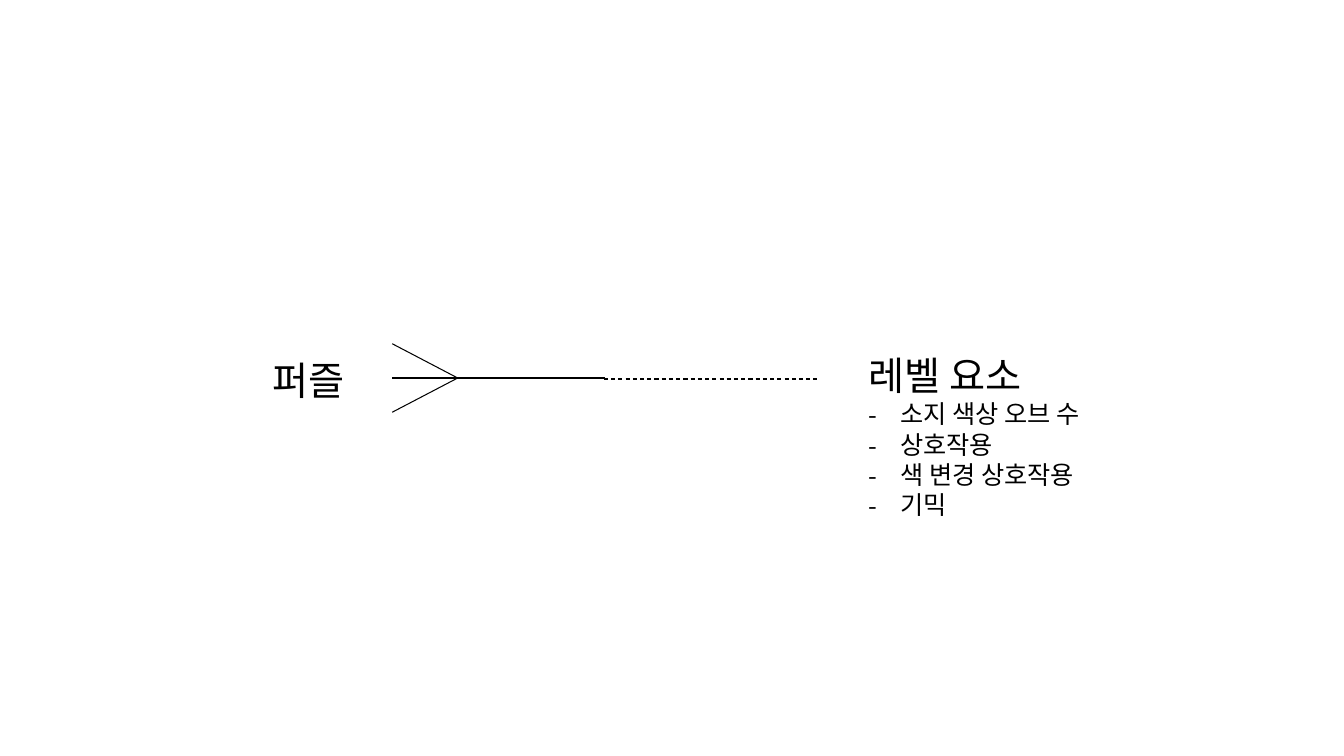
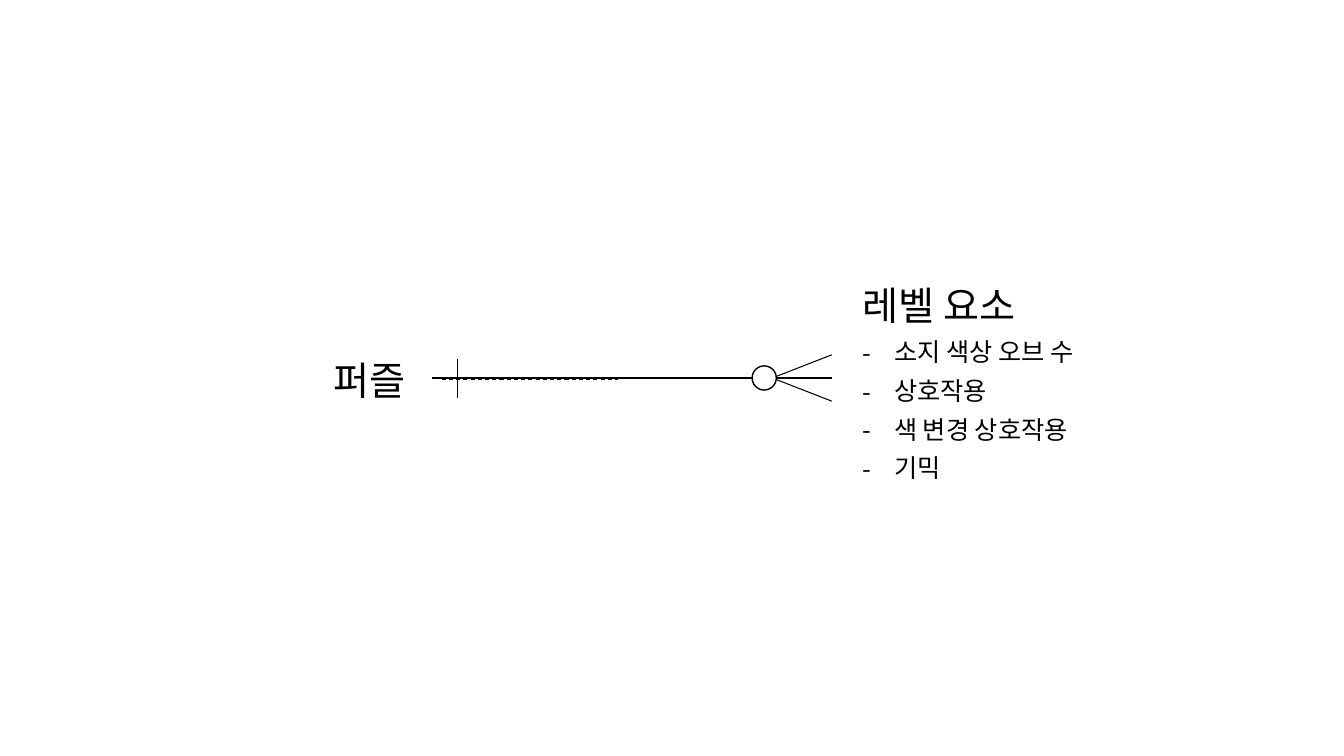
from lxml import etree
from pptx import Presentation
from pptx.dml.color import RGBColor
from pptx.enum.dml import MSO_LINE_DASH_STYLE as Dash
from pptx.enum.shapes import MSO_CONNECTOR as Wire, MSO_SHAPE as Form
from pptx.oxml.ns import qn
from pptx.util import Inches, Pt

BLACK = RGBColor(0, 0, 0)
WHITE = RGBColor(255, 255, 255)
FONT = "Noto Sans CJK KR"
WIDE, HIGH = 13.33, 7.5
MID = HIGH / 2
HEAD, ITEM = 28, 18
LEAD = 1.2
HANG = 0.31
LIFT = 0.03

# Content
LEFT = "퍼즐"
RIGHT = "레벨 요소"
ITEMS = ["소지 색상 오브 수", "상호작용", "색 변경 상호작용", "기믹"]

# Text boxes as (left, top, width, height); lines as (x1, y1, x2, y2, dashed),
# with y counted from the middle of the slide
SLIDES = [
    dict(left=(2.6, 3.46, 1.07, 0.57), right=(8.52, 3.41, 3.64, 1.78), gap=0,
         lines=[(3.89, 0, 6, 0, False),
                (3.89, -0.34, 4.54, 0, False),
                (3.89, 0.34, 4.54, 0, False),
                (5.99, 0.01, 8.1, 0.01, True)],
         rings=[]),
    dict(left=(3.21, 3.46, 1.07, 0.57), right=(8.46, 2.71, 3.64, 2.12), gap=6,
         lines=[(8.25, 0, 4.28, 0, False),
                (8.25, -0.23, 7.66, 0, False),
                (8.25, 0.23, 7.66, 0, False),
                (4.38, 0.01, 6.13, 0.01, True),
                (4.54, -0.19, 4.54, 0.2, False)],
         rings=[(7.58, 0.24)]),
]


def add_text(slide, box, rows, gap=0):
    """Write a heading row, then any further rows as a dash list."""
    x, y, w, h = box
    frame = slide.shapes.add_textbox(*map(Inches, (x, y + LIFT, w, h))).text_frame
    frame.word_wrap = True
    for i, text in enumerate(rows):
        para = frame.add_paragraph() if i else frame.paragraphs[0]
        size = ITEM if i else HEAD
        para.line_spacing = Pt(size * LEAD)
        run = para.add_run()
        run.text = text
        run.font.color.rgb = BLACK
        for key, val in dict(name=FONT, size=Pt(size)).items():
            setattr(run.font, key, val)
        etree.SubElement(run.font._element, qn("a:ea"), typeface=FONT)
        if i:
            para.space_before = Pt(gap)
            props = para._p.get_or_add_pPr()
            props.set("marL", str(Inches(HANG)))
            props.set("indent", str(-Inches(HANG)))
            etree.SubElement(props, qn("a:buFont"), typeface=FONT)
            etree.SubElement(props, qn("a:buChar"), char="-")


def add_line(slide, x1, y1, x2, y2, dashed):
    ends = map(Inches, (x1, MID + y1, x2, MID + y2))
    wire = slide.shapes.add_connector(Wire.STRAIGHT, *ends)
    wire.line.color.rgb = BLACK
    wire.line.width = Pt(0.75)
    if dashed:
        wire.line.dash_style = Dash.DASH
    etree.SubElement(wire._element.spPr, qn("a:effectLst"))


def add_ring(slide, x, size):
    box = map(Inches, (x - size / 2, MID - size / 2, size, size))
    ring = slide.shapes.add_shape(Form.OVAL, *box)
    ring.shadow.inherit = False
    ring.fill.solid()
    ring.fill.fore_color.rgb = WHITE
    ring.line.color.rgb = BLACK
    ring.line.width = Pt(1)


def main():
    deck = Presentation()
    deck.slide_width, deck.slide_height = Inches(WIDE), Inches(HIGH)
    for plan in SLIDES:
        slide = deck.slides.add_slide(deck.slide_layouts[6])
        add_text(slide, plan["left"], [LEFT])
        add_text(slide, plan["right"], [RIGHT, *ITEMS], plan["gap"])
        for line in plan["lines"]:
            add_line(slide, *line)
        for ring in plan["rings"]:
            add_ring(slide, *ring)
    deck.save("out.pptx")


if __name__ == "__main__":
    main()
